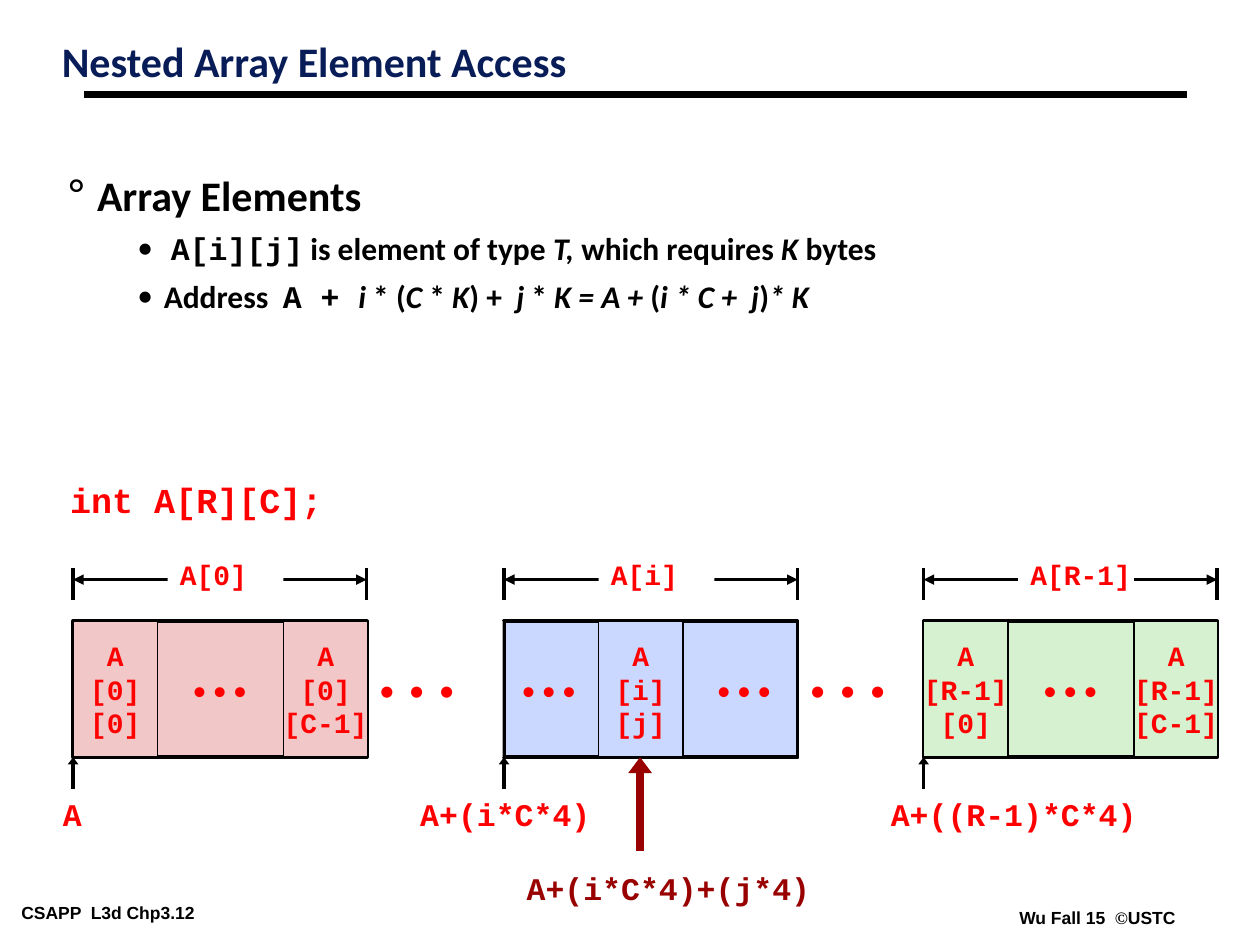
from dataclasses import dataclass
from typing import NamedTuple

from lxml import etree
from pptx import Presentation
from pptx.dml.color import RGBColor
from pptx.enum.shapes import MSO_CONNECTOR, MSO_SHAPE
from pptx.enum.text import MSO_ANCHOR, PP_ALIGN
from pptx.oxml.ns import qn
from pptx.util import Inches, Pt

LEFT, CENTER, RIGHT = PP_ALIGN.LEFT, PP_ALIGN.CENTER, PP_ALIGN.RIGHT
TOP, MIDDLE = MSO_ANCHOR.TOP, MSO_ANCHOR.MIDDLE
RECTANGLE = MSO_SHAPE.RECTANGLE
STRAIGHT = MSO_CONNECTOR.STRAIGHT

COLORS = {
    "black": "000000", "white": "FFFFFF", "navy": "081D58", "red": "FF0000",
    "maroon": "990000", "pink": "F1C7C7", "blue": "CAD7FE", "green": "D5F1CF",
}
CODE, BODY = "Courier New", "Calibri"
DOTS = "•\u00a0•\u00a0•"
WIDE_DOTS = "• \u00a0•\u00a0 •"
ROW_TOP, ROW_WIDTH, ROW_HEIGHT = 4.93, 2.33, 1.08
ROW_BOTTOM = ROW_TOP + ROW_HEIGHT
CELL_WIDTH = 0.67
LABEL_OFFSET = 0.75


class Span(NamedTuple):
    text: str
    font: str = BODY
    italic: bool = False


@dataclass
class Cell:
    offset: float
    lines: list[str]


@dataclass
class ArrayRow:
    left: float
    label: str
    color: str
    cells: list[Cell]
    dots: str = DOTS
    dots_tab: float = 0


@dataclass
class Label:
    text: str
    left: float
    top: float
    width: float
    height: float = 0.4
    size: float = 18
    color: str = "red"
    align: PP_ALIGN = CENTER


def rgb(name: str) -> RGBColor:
    return RGBColor.from_string(COLORS[name])


def write_para(para, spans: list[Span], *, size: float, color: str = "black",
               bold: bool = True, align: PP_ALIGN = LEFT, spacing: float = 1,
               before: float = 0, bullet: str = "", indent: float = 0,
               hanging: float = 0, tab: float = 0) -> None:
    para.alignment = align
    para.line_spacing = spacing
    para.space_before = Pt(before)
    properties = para._p.get_or_add_pPr()
    if bullet:
        properties.set("marL", str(Inches(indent)))
        properties.set("indent", str(-Inches(hanging)))
        etree.SubElement(properties, qn("a:buFont"), typeface=BODY)
        etree.SubElement(properties, qn("a:buChar"), char=bullet)
    if tab:
        stops = etree.SubElement(properties, qn("a:tabLst"))
        etree.SubElement(stops, qn("a:tab"), pos=str(Inches(tab)), algn="l")
    for span in spans:
        run = para.add_run()
        run.text = span.text
        font = run.font
        font.name, font.size = span.font, Pt(size)
        font.bold, font.italic = bold, span.italic
        font.color.rgb = rgb(color)


def set_frame(box, *, anchor: MSO_ANCHOR = TOP, wrap: bool = True,
              side: float = 0.1, edge: float = 0.05) -> None:
    frame = box.text_frame
    frame.word_wrap = wrap
    frame.vertical_anchor = anchor
    frame.margin_left = frame.margin_right = Inches(side)
    frame.margin_top = frame.margin_bottom = Inches(edge)


def write_lines(box, lines: list[list[Span]], **style) -> None:
    frame = box.text_frame
    for index, spans in enumerate(lines):
        para = frame.add_paragraph() if index else frame.paragraphs[0]
        write_para(para, spans, **style)


def add_text(shapes, left: float, top: float, width: float, height: float, **frame):
    box = shapes.add_textbox(Inches(left), Inches(top), Inches(width), Inches(height))
    set_frame(box, **frame)
    return box


def add_box(shapes, left: float, top: float, width: float, height: float,
            fill: str, line: float = 0, **frame):
    box = shapes.add_shape(RECTANGLE, Inches(left), Inches(top), Inches(width), Inches(height))
    box.shadow.inherit = False
    box.fill.solid()
    box.fill.fore_color.rgb = rgb(fill)
    if line:
        box.line.color.rgb = rgb("black")
        box.line.width = Pt(line)
    else:
        box.line.fill.background()
    set_frame(box, anchor=MIDDLE, **{"wrap": False, **frame})
    return box


def add_line(shapes, start: tuple[float, float], end: tuple[float, float], *,
             width: float = 2, color: str = "black", arrows: tuple[str, ...] = (),
             arrow_length: str = "med") -> None:
    line = shapes.add_connector(STRAIGHT, *map(Inches, start + end))
    line.line.color.rgb = rgb(color)
    line.line.width = Pt(width)
    outline = line.line._get_or_add_ln()
    for arrow in arrows:
        etree.SubElement(outline, qn(f"a:{arrow}"), type="triangle", len=arrow_length)
    etree.SubElement(line._element.spPr, qn("a:effectLst"))


def add_row(slide, row: ArrayRow) -> None:
    shapes = slide.shapes.add_group_shape().shapes
    right = row.left + ROW_WIDTH
    side = 0.14 if row.dots_tab else 0.1
    strip = add_box(shapes, row.left, ROW_TOP, ROW_WIDTH, ROW_HEIGHT, row.color, 2.25,
                    wrap=bool(row.dots_tab), side=side)
    write_lines(strip, [[Span(row.dots)]], size=16, color="red", bold=False,
                align=LEFT if row.dots_tab else CENTER, tab=row.dots_tab)
    for cell in row.cells:
        box = add_box(shapes, row.left + cell.offset, ROW_TOP, CELL_WIDTH, ROW_HEIGHT,
                      row.color, 1)
        write_lines(box, [[Span(line, CODE)] for line in cell.lines],
                    size=16, color="red", align=CENTER)
    for edge in (row.left, right):
        add_line(shapes, (edge, 4.51), (edge, 4.76))
    add_line(shapes, (row.left, 4.6), (right, 4.6), arrows=("headEnd", "tailEnd"))
    label = add_box(shapes, row.left + LABEL_OFFSET, 4.35, 0.92, 0.42, "white")
    write_lines(label, [[Span(row.label, CODE)]], size=16, color="red")


def add_gap(slide, left: float) -> None:
    box = add_box(slide.shapes, left, ROW_TOP, 1.08, ROW_HEIGHT, "white")
    write_lines(box, [[Span(WIDE_DOTS)]], size=18, color="red", bold=False)


def add_body(slide) -> None:
    box = add_text(slide.shapes, 0.48, 1.41, 8.52, 1.59, side=0.07, edge=0.03)
    frame = box.text_frame
    write_para(frame.paragraphs[0], [Span("Array Elements")], size=24, spacing=0.75,
               bullet="°", indent=0.22, hanging=0.22)
    element = [
        Span(" "), Span("A[i][j]", CODE), Span(" is element of type "),
        Span("T, ", italic=True), Span("which requires "),
        Span("K", italic=True), Span(" bytes"),
    ]
    address = [Span("Address  "), Span("A + ", CODE)]
    formula = ["i ", "* (", "C ", "* ", "K", ") +  ", "j", " * ",
               "K = A + ", "(", "i * C +  j", ")", "* K"]
    address += [Span(text, italic=index % 2 == 0) for index, text in enumerate(formula)]
    for spans in (element, address):
        para = frame.add_paragraph()
        para.level = 1
        write_para(para, spans, size=18, spacing=0.85, before=9,
                   bullet="•", indent=0.75, hanging=0.21)


FIRST = ArrayRow(0.58, "A[0]", "pink", [
    Cell(0, ["A", "[0]", "[0]"]), Cell(1.67, ["A", "[0]", "[C-1]"])])
MIDDLE_ROW = ArrayRow(4, "A[i]", "blue", [
    Cell(0.75, ["A", "[i]", "[j]"])], f"{DOTS}\t{DOTS}", 1.55)
LAST = ArrayRow(7.33, "A[R-1]", "green", [
    Cell(0, ["A", "[R-1]", "[0]"]), Cell(1.67, ["A", "[R-1]", "[C-1]"])])
LABELS = [
    Label("A", 0.36, 6.26, 0.43),
    Label("A+(i*C*4)", 3.22, 6.26, 1.58),
    Label("A+((R-1)*C*4)", 6.92, 6.26, 2.25),
    Label("int A[R][C];", 0.36, 3.75, 2.3, 0.44, 20, align=RIGHT),
    Label("A+(i*C*4)+(j*4)", 3.69, 6.85, 3.23, color="maroon"),
]


def main() -> None:
    deck = Presentation()
    deck.slide_width, deck.slide_height = Inches(10), Inches(7.5)
    page = deck.slides.add_slide(deck.slide_layouts[6])
    shapes = page.shapes

    course = add_text(shapes, 0.1, 7.13, 2.03, 0.22, side=0.07, edge=0.03)
    write_lines(course, [[Span("CSAPP  L3d Chp3.12", "Arial")]], size=10)
    credit = add_text(shapes, 8.02, 7.17, 1.38, 0.22, side=0.07, edge=0.03, wrap=False)
    write_lines(credit, [[Span("Wu Fall 15  ", "Arial"), Span("©", "Times New Roman"),
                          Span("USTC", "Arial")]], size=10)
    add_line(shapes, (0.67, 0.75), (9.42, 0.75), width=4.5)
    title = add_text(shapes, 0.42, 0.31, 7.58, 0.63, side=0.07, edge=0.03)
    write_lines(title, [[Span("Nested Array Element Access")]], size=24,
                color="navy", spacing=0.87)
    add_body(page)

    add_gap(page, MIDDLE_ROW.left + ROW_WIDTH)
    add_row(page, MIDDLE_ROW)
    add_row(page, LAST)
    add_gap(page, FIRST.left + ROW_WIDTH)
    add_row(page, FIRST)

    for row in (FIRST, MIDDLE_ROW, LAST):
        add_line(shapes, (row.left, 6.26), (row.left, ROW_BOTTOM), arrows=("tailEnd",),
                 arrow_length="sm")
    add_line(shapes, (5.08, 6.75), (5.08, ROW_BOTTOM), width=4.5, color="maroon",
             arrows=("tailEnd",), arrow_length="sm")
    for label in LABELS:
        box = add_text(shapes, label.left, label.top, label.width, label.height)
        write_lines(box, [[Span(label.text, CODE)]], size=label.size,
                    color=label.color, align=label.align)
    deck.save("out.pptx")


if __name__ == "__main__":
    main()
